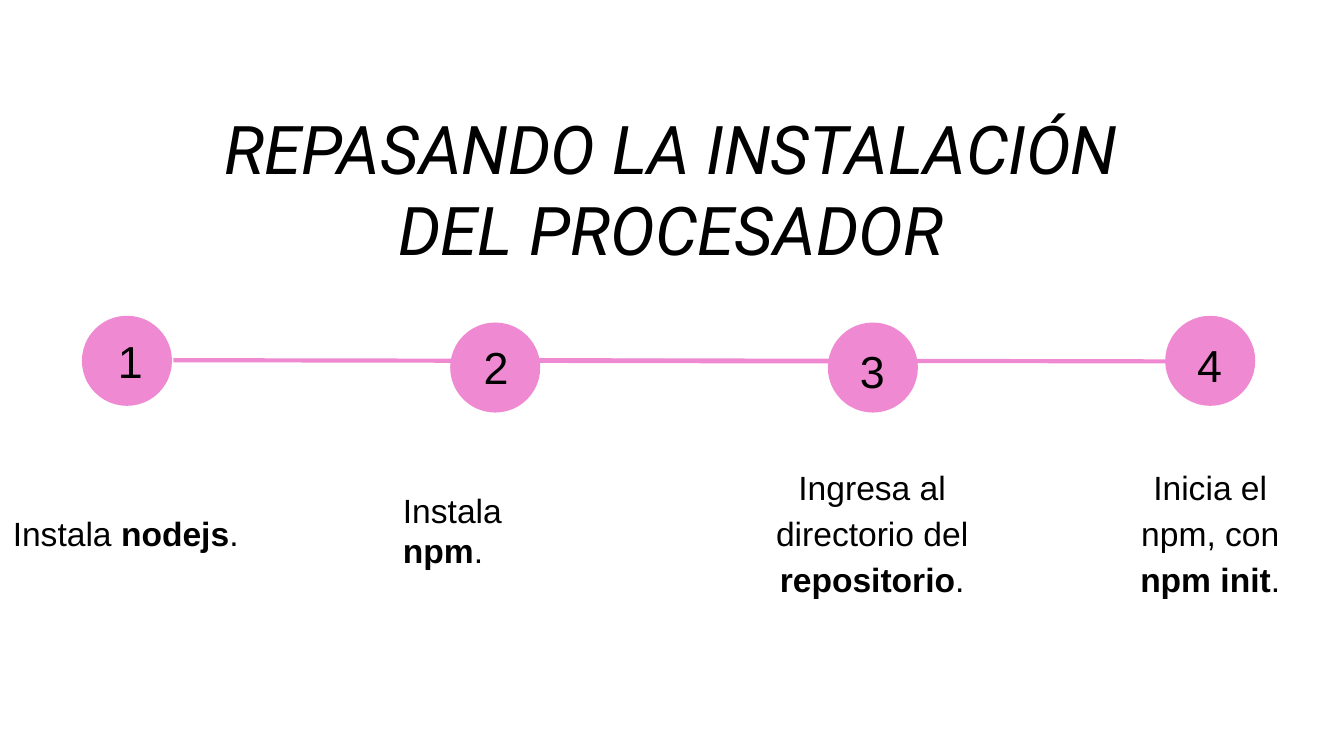
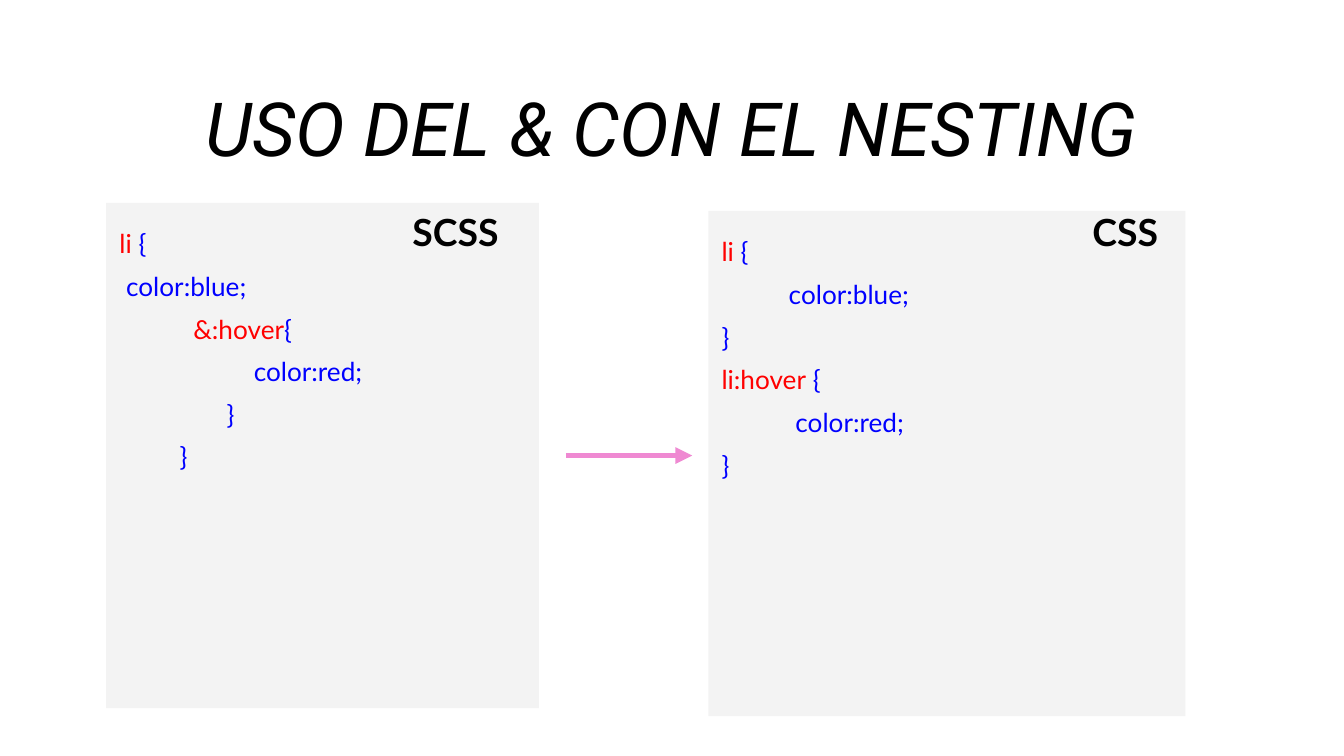
"""Build two slides: the processor installation steps and nesting with &."""
from pptx import Presentation
from pptx.dml.color import RGBColor
from pptx.enum import shapes, text
from pptx.oxml.ns import qn
from pptx.util import Inches, Pt
from lxml import etree

PINK, GREY, BLACK, RED, BLUE = "EF89D2", "F3F3F3", "000000", "FF0000", "0000FF"
LEFT, CENTER, JUSTIFY = text.PP_ALIGN.LEFT, text.PP_ALIGN.CENTER, text.PP_ALIGN.JUSTIFY
TOP, MIDDLE = text.MSO_ANCHOR.TOP, text.MSO_ANCHOR.MIDDLE
CIRCLE = 0.67
TAB_STOPS = (1, 2)

INSTALL_TITLE = ("REPASANDO LA INSTALACIÓN DEL PROCESADOR", (1.43, 0.7, 7.13, 1.08), 36, 1.0, 0)
NESTING_TITLE = ("USO DEL & CON EL NESTING", (0.7, 0.41, 8.59, 1.07), 40, 1.15, 6)

STEPS = [
    {"circle": (0.61, 2.35), "number": (0.78, 2.38), "number_align": LEFT,
     "caption": (-0.06, 1.99), "align": CENTER, "spacing": 1.15,
     "words": ("Instala ", "nodejs")},
    {"circle": (3.35, 2.4), "number": (3.5, 2.43), "number_align": LEFT,
     "caption": (2.9, 1.57), "align": LEFT, "spacing": 1.0,
     "words": ("Instala ", "npm")},
    {"circle": (6.16, 2.4), "number": (6.3, 2.46), "number_align": CENTER,
     "caption": (5.36, 2.26), "align": CENTER, "spacing": 1.15,
     "words": ("Ingresa al directorio del ", "repositorio")},
    {"circle": (8.67, 2.35), "number": (8.81, 2.41), "number_align": CENTER,
     "caption": (8.18, 1.65), "align": CENTER, "spacing": 1.15,
     "words": ("Inicia el npm, con ", "npm init")},
]
TIMELINE = [((3.87, 2.68), (9.11, 2.69)), ((1.29, 2.68), (6.52, 2.69))]

PANELS = [
    {"name": "CSS", "label_left": 8.03, "area": (5.27, 1.57, 3.55, 3.76), "code": [
        (0, [("li", RED), (" {", BLUE)]),
        (0.5, [("color:blue;", BLUE)]),
        (0, [("}", BLUE)]),
        (0, [("li:hover", RED), (" {", BLUE)]),
        (0.5, [(" color:red;", BLUE)]),
        (0, [("}", BLUE)]),
    ]},
    {"name": "SCSS", "label_left": 2.97, "area": (0.79, 1.51, 3.22, 3.76), "code": [
        (0, [("li ", RED), ("{", BLUE)]),
        (0, [(" color:blue;", BLUE)]),
        (0, [(" \t ", BLUE), ("&:hover", RED), ("{", BLUE)]),
        (0, [("   \t\tcolor:red;", BLUE)]),
        (0, [("   \t      }", BLUE)]),
        (0, [("         }", BLUE)]),
    ]},
]


def color(value):
    return RGBColor.from_string(value)


def add_block(page, kind, area, fill):
    block = page.shapes.add_shape(kind, *map(Inches, area))
    block.shadow.inherit = False
    block.fill.solid()
    block.fill.fore_color.rgb = color(fill)
    block.line.fill.background()
    return block


def add_line(page, start, end, width, arrow=False):
    line = page.shapes.add_connector(
        shapes.MSO_CONNECTOR.STRAIGHT, *map(Inches, start + end))
    line.line.color.rgb = color(PINK)
    line.line.width = Pt(width)
    if arrow:
        outline = line._element.spPr.find(qn("a:ln"))
        etree.SubElement(outline, qn("a:tailEnd"), type="triangle")
    etree.SubElement(line._element.spPr, qn("a:effectLst"))


def prepare_frame(shape, anchor=TOP):
    frame = shape.text_frame
    frame.word_wrap = True
    frame.vertical_anchor = anchor
    frame.margin_left = frame.margin_right = Inches(0.1)
    frame.margin_top = frame.margin_bottom = Inches(0.1)
    return frame


def style(para, font, size, align, spacing):
    para.alignment = align
    para.line_spacing = spacing
    para.font.name = font
    para.font.size = Pt(size)
    para.font.color.rgb = color(BLACK)


def add_text(page, area, words, font, size, align, spacing=1.0, anchor=TOP):
    box = page.shapes.add_textbox(*map(Inches, area))
    para = prepare_frame(box, anchor).paragraphs[0]
    style(para, font, size, align, spacing)
    for word in words:
        para.add_run().text = word
    return para


def add_title(page, title, area, size, spacing, after):
    para = add_text(page, area, [title], "Roboto", size, CENTER, spacing)
    para.font.italic = True
    para.space_after = Pt(after)


def add_step(page, number, step):
    add_block(page, shapes.MSO_SHAPE.OVAL, step["circle"] + (CIRCLE, CIRCLE), PINK)
    add_text(page, step["number"] + (0.3, 0.34), [str(number)], "Arial", 24,
             step["number_align"])
    left, width = step["caption"]
    caption = add_text(page, (left, 3.36, width, 1.17), step["words"] + (".",),
                       "Arial", 18, step["align"], step["spacing"], MIDDLE)
    caption.runs[1].font.bold = True


def set_indents(para, indent):
    props = para._p.get_or_add_pPr()
    props.set("marL", str(Inches(indent)))
    props.set("indent", "0")
    tabs = etree.SubElement(props, qn("a:tabLst"))
    for stop in TAB_STOPS:
        etree.SubElement(tabs, qn("a:tab"), pos=str(Inches(stop)), algn="l")


def add_panel(page, panel):
    block = add_block(page, shapes.MSO_SHAPE.RECTANGLE, panel["area"], GREY)
    frame = prepare_frame(block)
    for index, (indent, spans) in enumerate(panel["code"]):
        para = frame.add_paragraph() if index else frame.paragraphs[0]
        set_indents(para, indent)
        style(para, "Lato", 14, JUSTIFY, 1.36)
        for words, tint in spans:
            span = para.add_run()
            span.text = words
            span.font.color.rgb = color(tint)
    label = add_text(page, (panel["label_left"], 1.41, 1.17, 0.55), [panel["name"]],
                     "Lato", 20, JUSTIFY, 1.15)
    label.font.bold = True
    label.space_after = Pt(8)


def main():
    deck = Presentation()
    deck.slide_width = Inches(10)
    deck.slide_height = deck.slide_width * 9 // 16
    blank = deck.slide_layouts[6]

    install = deck.slides.add_slide(blank)
    for start, end in TIMELINE:
        add_line(install, start, end, 2.25)
    for number, step in enumerate(STEPS, 1):
        add_step(install, number, step)
    add_title(install, *INSTALL_TITLE)

    nesting = deck.slides.add_slide(blank)
    for panel in PANELS:
        add_panel(nesting, panel)
    add_line(nesting, (4.21, 3.39), (5.15, 3.39), 3, arrow=True)
    add_title(nesting, *NESTING_TITLE)

    deck.save("out.pptx")


if __name__ == "__main__":
    main()
